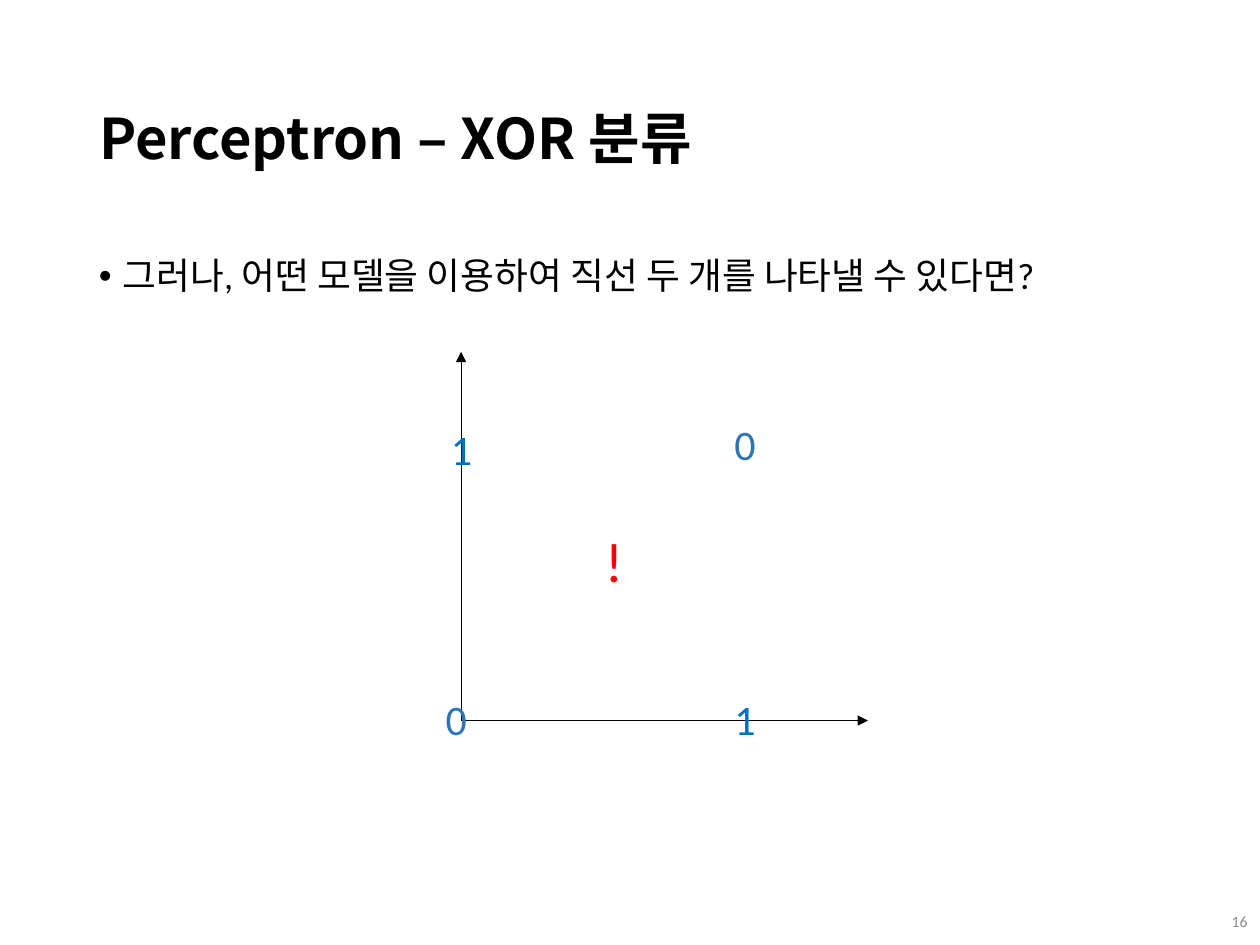
from lxml import etree
from pptx import Presentation
from pptx.dml.color import RGBColor
from pptx.enum.shapes import MSO_CONNECTOR
from pptx.enum.text import MSO_ANCHOR, PP_ALIGN
from pptx.oxml.ns import qn
from pptx.util import Pt

STRAIGHT = MSO_CONNECTOR.STRAIGHT
TOP, MIDDLE = MSO_ANCHOR.TOP, MSO_ANCHOR.MIDDLE
LEFT, RIGHT = PP_ALIGN.LEFT, PP_ALIGN.RIGHT
BLACK = RGBColor(0x00, 0x00, 0x00)
GRAY = RGBColor(0x8C, 0x8C, 0x8C)
ZERO_BLUE = RGBColor(0x2E, 0x75, 0xB6)
ONE_BLUE = RGBColor(0x00, 0x70, 0xC0)
RED = RGBColor(0xFF, 0x00, 0x00)
LATIN_FONT = "Calibri"
KOREAN_FONT = "Noto Sans CJK KR"


def format_text(box, text, size, color, font=LATIN_FONT, bold=False, align=LEFT, anchor=TOP):
    """Put one formatted paragraph in a box and return the paragraph."""
    frame = box.text_frame
    frame.text = text
    frame.word_wrap = True
    frame.vertical_anchor = anchor
    para = frame.paragraphs[0]
    para.alignment = align
    span = para.runs[0]
    span.font.name = font
    span.font.size = Pt(size)
    span.font.bold = bold
    span.font.color.rgb = color
    east_asian = etree.SubElement(span.font._element, qn("a:ea"))
    east_asian.set("typeface", KOREAN_FONT)
    return para


def add_text(page, text, left, top, width, height, size, color, **style):
    """Add a text box and return its paragraph."""
    box = page.shapes.add_textbox(Pt(left), Pt(top), Pt(width), Pt(height))
    return format_text(box, text, size, color, **style)


def place_title(page, left, top, width, height):
    """Move and format the title placeholder."""
    title = page.shapes.title
    title.left, title.top = Pt(left), Pt(top)
    title.width, title.height = Pt(width), Pt(height)
    para = format_text(title, "Perceptron – XOR 분류", 32, BLACK,
                       font=KOREAN_FONT, bold=True, anchor=MIDDLE)
    para.line_spacing = 0.9


def add_question(page, left, top, width, height):
    """Add the bulleted question."""
    para = add_text(page, "그러나, 어떤 모델을 이용하여 직선 두 개를 나타낼 수 있다면?",
                    left, top, width, height, 21, BLACK)
    para.line_spacing = 0.9
    properties = para._p.get_or_add_pPr()
    properties.set("marL", str(Pt(13.5)))
    properties.set("indent", str(Pt(-13.5)))
    bullet_font = etree.SubElement(properties, qn("a:buFont"))
    bullet_font.set("typeface", "Arial")
    bullet = etree.SubElement(properties, qn("a:buChar"))
    bullet.set("char", "•")


def add_axis(page, start_x, start_y, end_x, end_y):
    """Add a thin axis with an arrowhead at its end."""
    axis = page.shapes.add_connector(STRAIGHT, Pt(start_x), Pt(start_y), Pt(end_x), Pt(end_y))
    axis.line.color.rgb = BLACK
    axis.line.width = Pt(0.5)
    arrow = etree.SubElement(axis.line._get_or_add_ln(), qn("a:tailEnd"))
    arrow.set("type", "triangle")
    etree.SubElement(axis._element.spPr, qn("a:effectLst"))


def add_xor_plot(page, left, top, width, height):
    """Add the two axes, the four XOR values and the exclamation mark."""
    bottom = top + height
    add_axis(page, left, bottom, left, top)
    add_axis(page, left, bottom, left + width, bottom)
    values = [
        ("0", 149, 34.5, ZERO_BLUE),
        ("1", -13, 37.5, ONE_BLUE),
        ("1", 149, 191.5, ONE_BLUE),
        ("0", -16, 191.5, ZERO_BLUE),
    ]
    for value, across, down, color in values:
        add_text(page, value, left + across, top + down, 32, 36, 24, color)
    add_text(page, "!", left + 75, top + 96.5, 36, 46, 32, RED)


def main():
    """Build and save the deck."""
    deck = Presentation()
    deck.slide_width, deck.slide_height = Pt(720), Pt(540)
    page = deck.slides.add_slide(deck.slide_layouts[5])
    place_title(page, 49.5, 28.75, 621, 104.5)
    add_question(page, 49.5, 143.75, 621, 342.5)
    add_text(page, "16", 681, 512, 39, 28.75, 9, GRAY, align=RIGHT, anchor=MIDDLE)
    add_xor_plot(page, 263.5, 201, 232.5, 210.75)
    deck.save("out.pptx")


if __name__ == "__main__":
    main()
